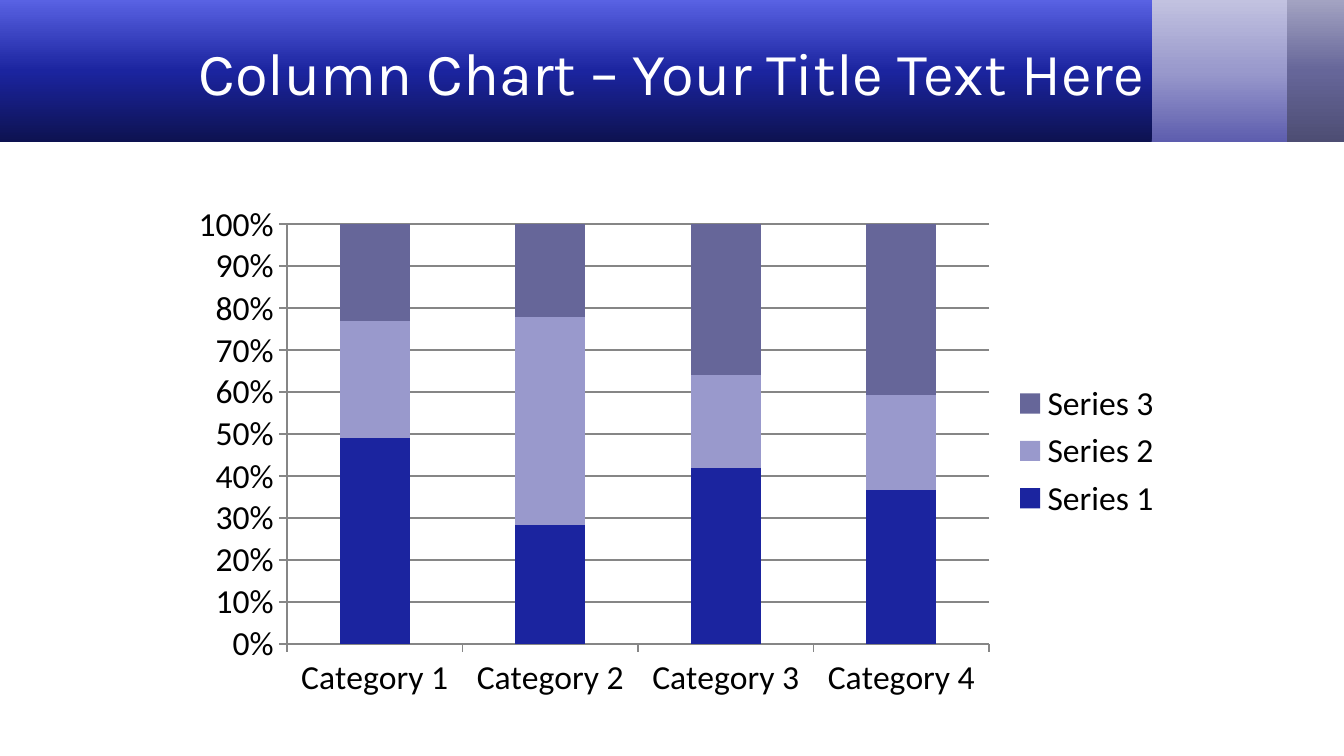
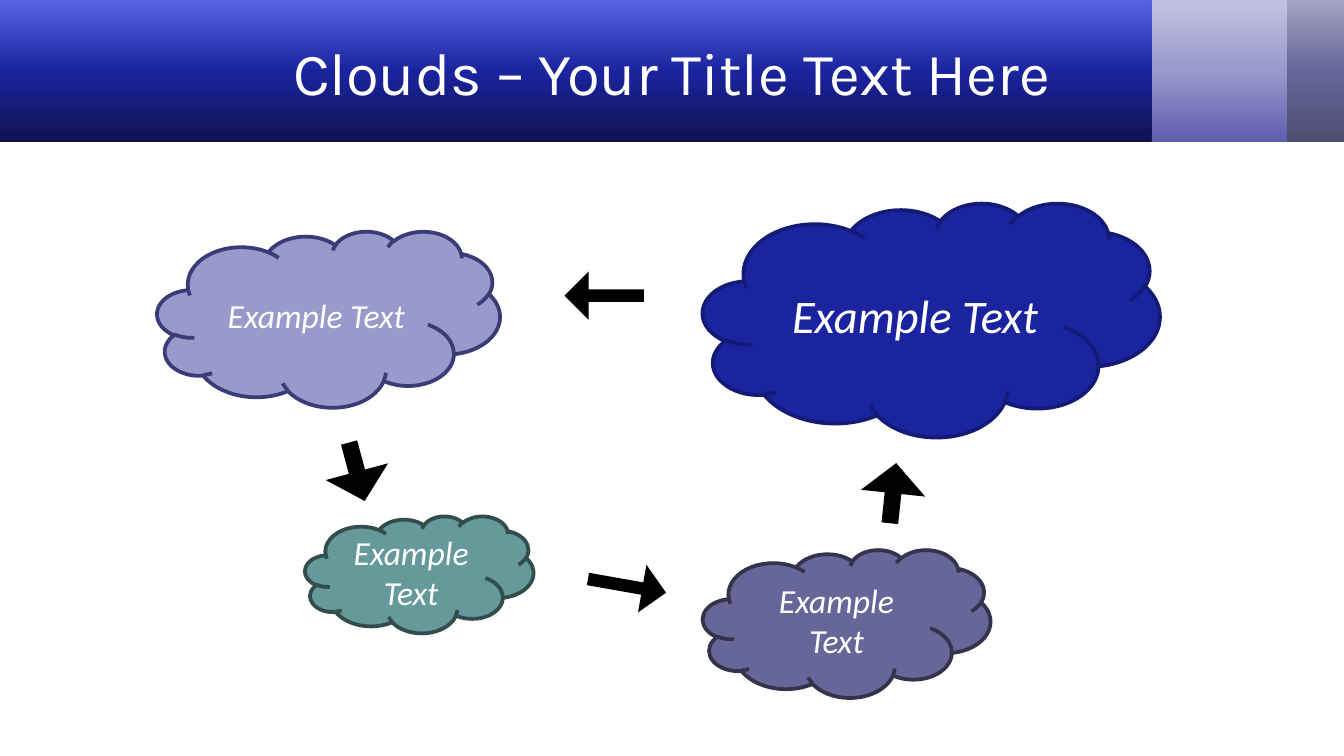
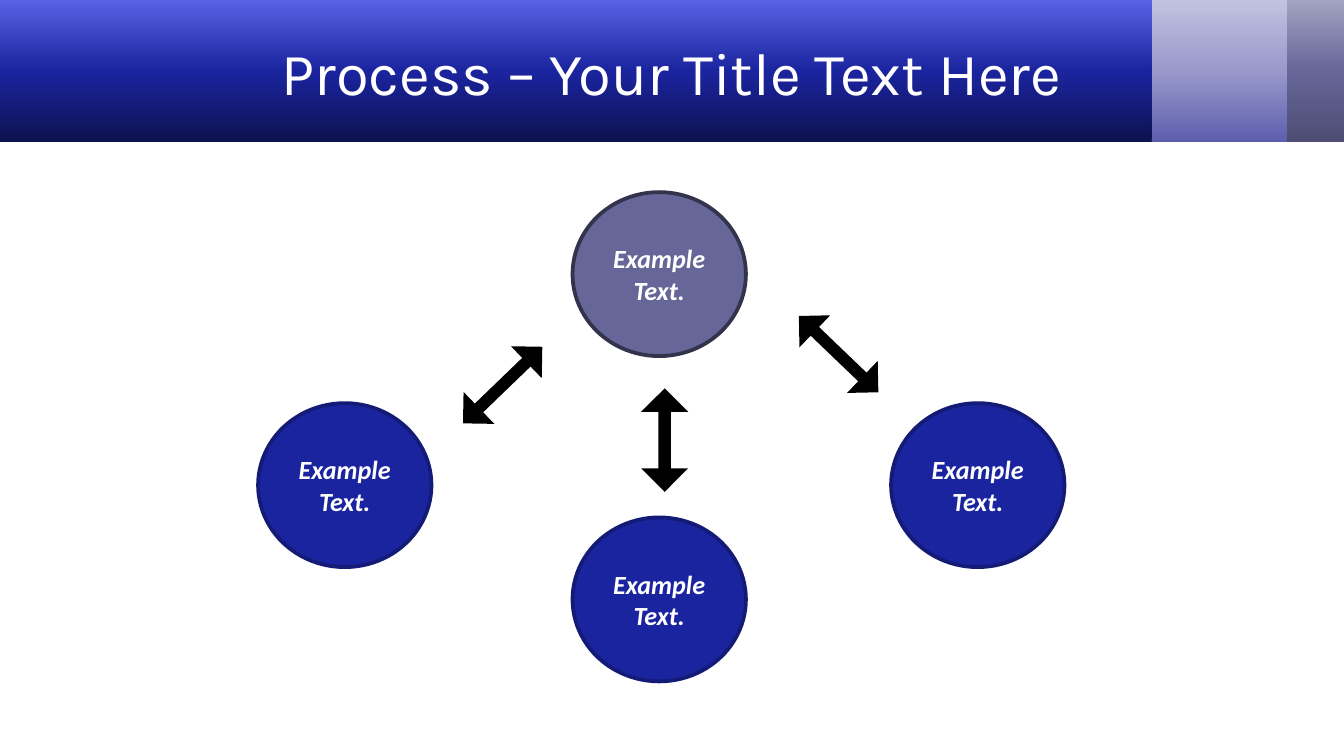
from copy import deepcopy
from dataclasses import dataclass

from pptx import Presentation
from pptx.chart.data import CategoryChartData
from pptx.dml.color import RGBColor
from pptx.enum.chart import XL_CHART_TYPE as ChartType
from pptx.enum.chart import XL_LEGEND_POSITION as LegendPosition
from pptx.enum.chart import XL_TICK_MARK as TickMark
from pptx.enum.shapes import MSO_SHAPE as Preset
from pptx.enum.text import MSO_ANCHOR as Anchor
from pptx.enum.text import PP_ALIGN as Align
from pptx.oxml.ns import qn
from pptx.util import Inches, Pt


@dataclass(frozen=True)
class Theme:
    white: str = "FFFFFF"
    black: str = "000000"
    grid: str = "868686"
    navy: str = "1B249F"
    navy_edge: str = "141B76"
    lilac: str = "9999CC"
    lilac_edge: str = "3B3B77"
    slate: str = "666699"
    slate_edge: str = "33334C"
    teal: str = "669999"
    teal_edge: str = "334C4C"
    heading_font: str = "Karla"
    body_font: str = "Calibri"
    title_size: int = 32
    large_size: int = 25
    body_size: int = 18
    small_size: int = 14
    edge_width: int = 2


THEME = Theme()

TITLE_BOX = (0.5, 0.06, 9, 0.94)
BAND_HEIGHT = 1.06
BANDS = [
    (9.43, 0.58, ("4D4D73", THEME.slate, "A3A3C2")),
    (8.53, 1.05, ("5D5DAE", THEME.lilac, "C2C2E0")),
    (0, 8.57, ("0D1250", THEME.navy, "5962E3")),
]

CHART_TITLE = "Column Chart – Your Title Text Here"
CHART_BOX = (1.33, 1.44, 7.42, 3.83)
CATEGORIES = ["Category 1", "Category 2", "Category 3", "Category 4"]
SERIES = [
    ("Series 1", (49, 28, 42, 37), THEME.navy),
    ("Series 2", (28, 49, 22, 23), THEME.lilac),
    ("Series 3", (23, 22, 36, 41), THEME.slate),
]

CLOUDS_TITLE = "Clouds – Your Title Text Here"
CLOUD_LABEL = "Example Text"
CLOUDS = [
    ((1.17, 1.72, 2.55, 1.31), THEME.lilac, THEME.lilac_edge, THEME.body_size),
    ((5.23, 1.51, 3.4, 1.74), THEME.navy, THEME.navy_edge, THEME.large_size),
    ((2.27, 3.84, 1.7, 0.87), THEME.teal, THEME.teal_edge, THEME.body_size),
    ((5.23, 4.09, 2.14, 1.1), THEME.slate, THEME.slate_edge, THEME.body_size),
]
CLOUD_ARROWS = [
    ((4.2, 2.02, 0.59, 0.36), 180),
    ((2.43, 3.27, 0.45, 0.48), 75),
    ((4.37, 4.18, 0.59, 0.36), 10),
    ((6.42, 3.43, 0.45, 0.48), 276),
]

PROCESS_TITLE = "Process – Your Title Text Here"
STEP_LABEL = "Example Text."
STEP_SIZE = (1.29, 1.22)
STEPS = [
    ((4.26, 1.43), THEME.slate, THEME.slate_edge),
    ((6.63, 3), THEME.navy, THEME.navy_edge),
    ((4.26, 3.85), THEME.navy, THEME.navy_edge),
    ((1.92, 3), THEME.navy, THEME.navy_edge),
]
STEP_ARROWS = [
    ((4.56, 3.1, 0.77, 0.35), 90),
    ((3.33, 2.7, 0.82, 0.33), 136),
    ((5.83, 2.47, 0.82, 0.33), 223.8),
]


def rgb(color):
    return RGBColor.from_string(color)


def inches(box):
    return [Inches(length) for length in box]


def style_font(font, *, size, color, name=THEME.body_font, bold=False, italic=False):
    font.name, font.size = name, Pt(size)
    font.bold, font.italic = bold, italic
    font.color.rgb = rgb(color)


def write(shape, text, **style):
    frame = shape.text_frame
    frame.word_wrap = True
    frame.vertical_anchor = Anchor.MIDDLE
    paragraph = frame.paragraphs[0]
    paragraph.alignment = Align.CENTER
    run = paragraph.add_run()
    run.text = text
    style_font(run.font, **style)


def draw(slide, preset, box, fill=None, edge=None, rotation=0, adjust=()):
    shape = slide.shapes.add_shape(preset, *inches(box))
    shape.shadow.inherit = False
    shape.rotation = rotation
    for index, value in enumerate(adjust):
        shape.adjustments[index] = value
    if fill:
        shape.fill.solid()
        shape.fill.fore_color.rgb = rgb(fill)
    if edge:
        shape.line.color.rgb = rgb(edge)
        shape.line.width = Pt(THEME.edge_width)
    else:
        shape.line.fill.background()
    return shape


def draw_arrows(slide, preset, arrows, shaft):
    for box, rotation in arrows:
        draw(slide, preset, box, THEME.black, rotation=rotation, adjust=(shaft, 0.5))


def set_up_master(deck, layout, slide):
    title = layout.placeholders[0]
    title.left, title.top, title.width, title.height = inches(TITLE_BOX)
    tree = deck.slide_master.shapes._spTree
    for order, (left, width, colors) in enumerate(BANDS):
        band = draw(slide, Preset.RECTANGLE, (left, 0, width, BAND_HEIGHT))
        band.fill.gradient()
        band.fill.gradient_angle = 90
        stops = band._element.spPr.find(".//" + qn("a:gsLst"))
        stops.append(deepcopy(stops[0]))
        for stop, color, position in zip(band.fill.gradient_stops, colors, (0, 0.5, 1)):
            stop.color.rgb = rgb(color)
            stop.position = position
        band._element.nvSpPr.cNvPr.set("id", str(100 + order))
        tree.insert(2 + order, band._element)


def add_titled_slide(deck, layout, title):
    slide = deck.slides.add_slide(layout)
    write(slide.shapes.title, title, size=THEME.title_size, color=THEME.white,
          name=THEME.heading_font)
    return slide


def fill_chart_slide(slide):
    data = CategoryChartData()
    data.categories = CATEGORIES
    for name, values, _ in SERIES:
        data.add_series(name, values)
    chart = slide.shapes.add_chart(
        ChartType.COLUMN_STACKED_100, *inches(CHART_BOX), data).chart
    text = dict(size=THEME.body_size, color=THEME.black)
    style_font(chart.font, **text)
    chart.has_title = False
    chart.has_legend = True
    chart.legend.position = LegendPosition.RIGHT
    chart.legend.include_in_layout = False
    style_font(chart.legend.font, **text)

    for axis in (chart.category_axis, chart.value_axis):
        axis.major_tick_mark = TickMark.OUTSIDE
        axis.minor_tick_mark = TickMark.NONE
        axis.format.line.color.rgb = rgb(THEME.grid)
        style_font(axis.tick_labels.font, **text)
    percent = chart.value_axis
    percent.has_major_gridlines = True
    percent.major_gridlines.format.line.color.rgb = rgb(THEME.grid)
    percent.tick_labels.number_format = "0%"
    percent.tick_labels.number_format_is_linked = False

    plot = chart.plots[0]
    plot.gap_width, plot.overlap = 150, 100
    plot.vary_by_categories = False
    for series, (_, _, color) in zip(plot.series, SERIES):
        series.format.fill.solid()
        series.format.fill.fore_color.rgb = rgb(color)


def fill_clouds_slide(slide):
    for box, fill, edge, size in CLOUDS:
        cloud = draw(slide, Preset.CLOUD, box, fill, edge)
        write(cloud, CLOUD_LABEL, size=size, color=THEME.white, italic=True)
    draw_arrows(slide, Preset.RIGHT_ARROW, CLOUD_ARROWS, 0.26)


def fill_process_slide(slide):
    for corner, fill, edge in STEPS:
        step = draw(slide, Preset.OVAL, corner + STEP_SIZE, fill, edge)
        write(step, STEP_LABEL, size=THEME.small_size, color=THEME.white,
              bold=True, italic=True)
    draw_arrows(slide, Preset.LEFT_RIGHT_ARROW, STEP_ARROWS, 0.27)


def main():
    deck = Presentation()
    deck.slide_width = Inches(10)
    deck.slide_height = deck.slide_width * 9 // 16
    layout = deck.slide_layouts.get_by_name("Title Only")
    pages = [
        (CHART_TITLE, fill_chart_slide),
        (CLOUDS_TITLE, fill_clouds_slide),
        (PROCESS_TITLE, fill_process_slide),
    ]
    slides = [add_titled_slide(deck, layout, title) for title, _ in pages]
    set_up_master(deck, layout, slides[0])
    for slide, (_, fill_slide) in zip(slides, pages):
        fill_slide(slide)
    deck.save("out.pptx")


if __name__ == "__main__":
    main()
